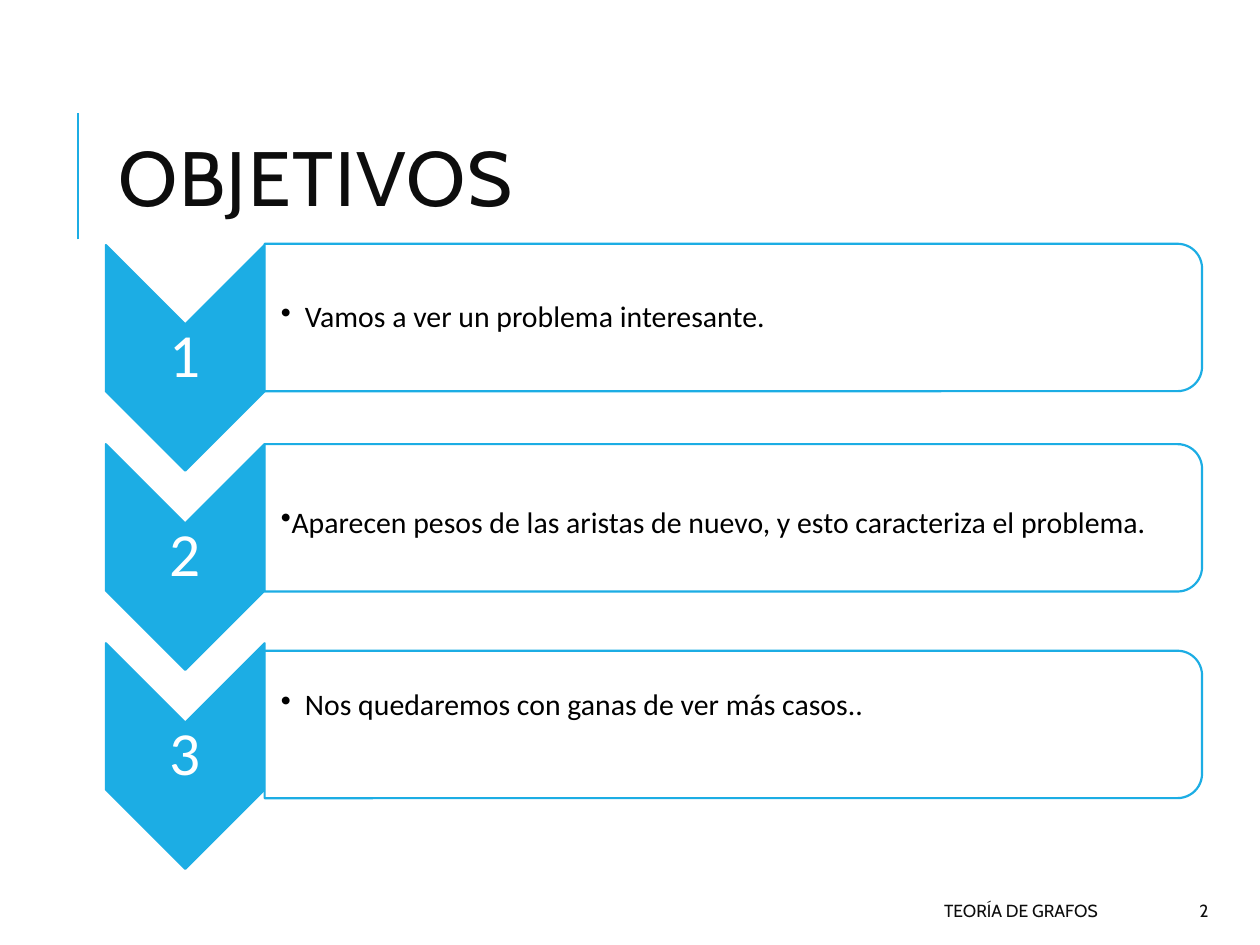
from lxml import etree
from pptx import Presentation
from pptx.dml.color import RGBColor
from pptx.enum import shapes, text
from pptx.oxml.ns import qn
from pptx.util import Inches, Pt

BLUE = RGBColor(0x1C, 0xAD, 0xE4)
WHITE = RGBColor(0xFF, 0xFF, 0xFF)
BLACK = RGBColor(0x00, 0x00, 0x00)
INK = RGBColor(0x0D, 0x0D, 0x0D)

deck = Presentation()
deck.slide_width, deck.slide_height = Inches(10), Inches(7.5)
slide = deck.slides.add_slide(deck.slide_layouts[6])


def add_text(words, left, top, width, height, size, font="Calibri", color=INK,
             align=text.PP_ALIGN.LEFT, insets=(0.1, 0.05, 0.1, 0.05),
             line_spacing=1.0, tracking=None, bullet_indent=None):
    box = slide.shapes.add_textbox(Inches(left), Inches(top), Inches(width), Inches(height))
    frame = box.text_frame
    frame.word_wrap = True
    frame.vertical_anchor = text.MSO_ANCHOR.MIDDLE
    (frame.margin_left, frame.margin_top,
     frame.margin_right, frame.margin_bottom) = map(Inches, insets)
    paragraph = frame.paragraphs[0]
    paragraph.alignment = align
    paragraph.line_spacing = line_spacing
    run = paragraph.add_run()
    run.text = words
    run.font.size, run.font.name, run.font.color.rgb = Pt(size), font, color
    if tracking is not None:
        run.font._element.set("spc", str(tracking))
    if bullet_indent is not None:
        properties = paragraph._p.get_or_add_pPr()
        properties.set("marL", str(Inches(bullet_indent)))
        properties.set("indent", str(-Inches(bullet_indent)))
        etree.SubElement(properties, qn("a:buChar")).set("char", "•")


def add_turned_shape(preset, center_x, center_y, width, height, fill):
    shape = slide.shapes.add_shape(
        preset, Inches(center_x - width / 2), Inches(center_y - height / 2),
        Inches(width), Inches(height))
    shape.rotation = 90
    shape.shadow.inherit = False
    shape.fill.solid()
    shape.fill.fore_color.rgb = fill
    shape.line.color.rgb = BLUE
    shape.line.width = Pt(1.25)
    return shape


# Title with its accent rule
rule = slide.shapes.add_connector(shapes.MSO_CONNECTOR.STRAIGHT,
                                  Inches(0.62), Inches(1.9), Inches(0.62), Inches(0.9))
rule.line.color.rgb = BLUE
rule.line.width = Pt(1.5)
etree.SubElement(rule._element.spPr, qn("a:effectLst"))
add_text("OBJETIVOS", 0.84, 0.64, 7.97, 1.64, 44, font="Cabin",
         line_spacing=0.8, tracking=100)

# Numbered goals: wording, panel centre, text offset, bullet indent
goals = [
    ("Vamos a ver un problema interesante.", 2.52, 0, 0.19),
    ("Aparecen pesos de las aristas de nuevo, y esto caracteriza el problema.", 4.11, 0.04, 0),
    ("Nos quedaremos con ganas de ver más casos..", 5.75, -0.15, 0.19),
]
FIRST_CHEVRON, PITCH = 2.84, 1.58
for index, (goal, panel_y, offset, indent) in enumerate(goals):
    chevron_y = FIRST_CHEVRON + index * PITCH
    add_turned_shape(shapes.MSO_SHAPE.CHEVRON, 1.47, chevron_y, 1.79, 1.26, BLUE)
    add_text(str(index + 1), 0.84, chevron_y - 0.27, 1.26, 0.54, 35, color=WHITE,
             align=text.PP_ALIGN.CENTER, insets=(0.02,) * 4, line_spacing=0.9)

    panel = add_turned_shape(shapes.MSO_SHAPE.ROUND_2_SAME_RECTANGLE,
                             5.82, panel_y, 1.17, 7.44, WHITE)
    fill_color = panel._element.spPr.find(qn("a:solidFill"))[0]
    etree.SubElement(fill_color, qn("a:alpha")).set("val", "90000")
    add_text(goal, 2.1, panel_y - 0.52 + offset, 7.38, 1.05, 17, color=BLACK,
             insets=(0.13, 0.01, 0.01, 0.01), line_spacing=0.9, bullet_indent=indent)

# Footer and slide number
for words, left, width in (("TEORÍA DE GRAFOS", 3.97, 4.84), ("2", 8.89, 0.8)):
    add_text(words, left, 7.08, width, 0.3, 10, font="Cabin", align=text.PP_ALIGN.RIGHT)

deck.save("out.pptx")
